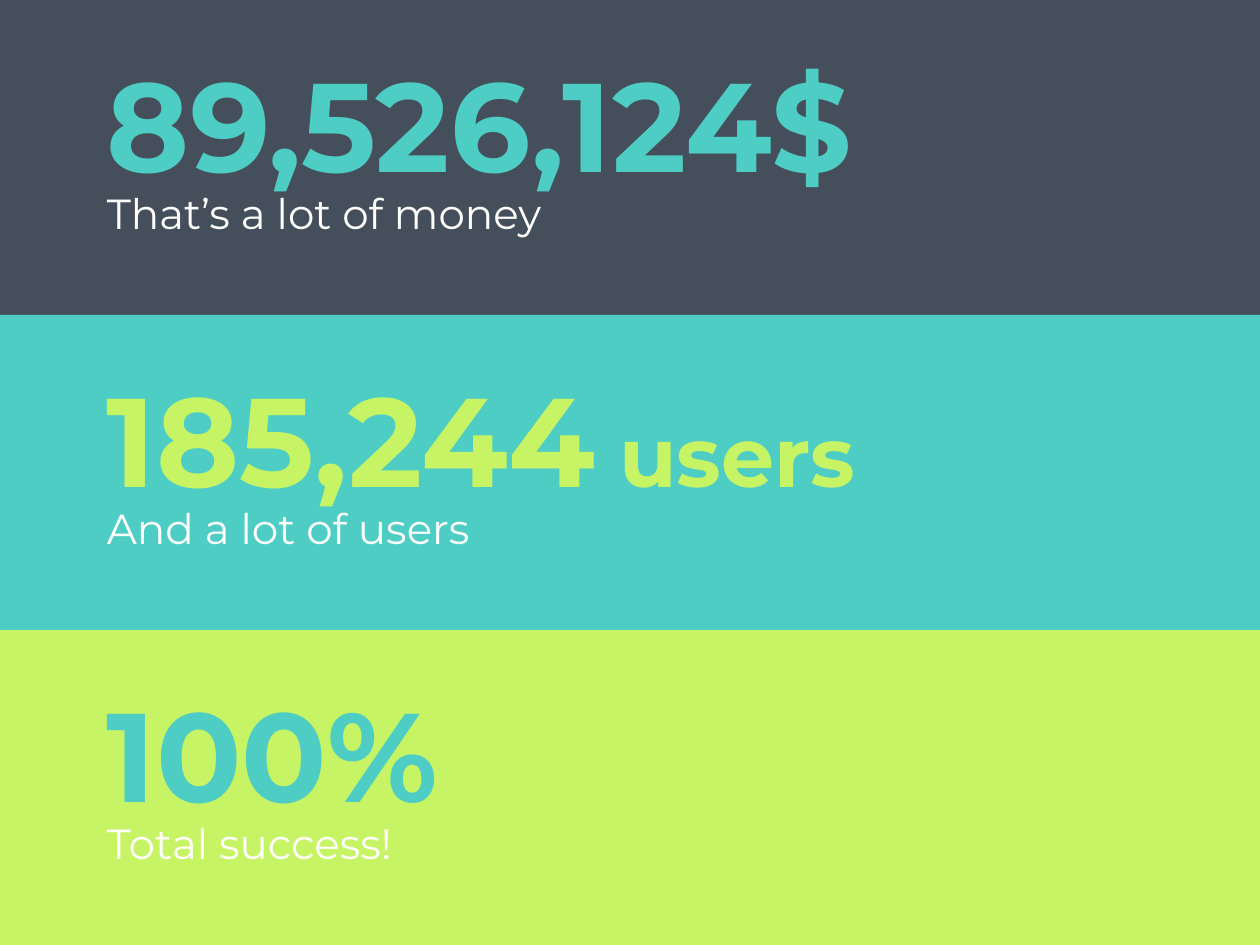
from dataclasses import dataclass

from pptx import Presentation
from pptx.dml.color import RGBColor
from pptx.enum.shapes import MSO_SHAPE as Shape
from pptx.enum.text import MSO_ANCHOR as Anchor
from pptx.util import Inches, Pt

COLORS = {"slate": "454F5B", "teal": "4ECDC4", "lime": "C7F464", "white": "FFFFFF"}
FONT = "Montserrat"
WIDTH, HEIGHT = 10, 7.5
ROW = HEIGHT / 3
MARGIN = 0.075 * WIDTH
INSET = Inches(0.1)


@dataclass(frozen=True)
class Figure:
    number: str
    caption: str
    color: str
    band: str
    unit: str = ""


FIGURES = [
    Figure("89,526,124$", "That’s a lot of money", "teal", "slate"),
    Figure("185,244", "And a lot of users", "lime", "teal", unit=" users"),
    Figure("100%", "Total success!", "teal", "lime"),
]


def rgb(name: str) -> RGBColor:
    return RGBColor.from_string(COLORS[name])


def add_band(page, row: int, color: str) -> None:
    band = page.shapes.add_shape(
        Shape.RECTANGLE, 0, Inches(row * ROW), Inches(WIDTH), Inches(ROW)
    )
    band.shadow.inherit = False
    band.fill.solid()
    band.fill.fore_color.rgb = rgb(color)
    band.line.fill.background()


def add_text(page, pieces: list[tuple[str, int]], *, top: float, height: float,
             color: str, bold: bool = False, anchor: Anchor = Anchor.TOP) -> None:
    """Add one line of text made of (text, point size) pieces."""
    box = page.shapes.add_textbox(
        Inches(MARGIN), Inches(top), Inches(WIDTH - 2 * MARGIN), Inches(height)
    )
    frame = box.text_frame
    frame.word_wrap = True
    frame.vertical_anchor = anchor
    frame.margin_left = frame.margin_right = INSET
    frame.margin_top = frame.margin_bottom = INSET
    para = frame.paragraphs[0]
    for text, size in pieces:
        span = para.add_run()
        span.text = text
        span.font.name = FONT
        span.font.size = Pt(size)
        span.font.bold = bold
        span.font.color.rgb = rgb(color)


def add_figure(page, row: int, figure: Figure) -> None:
    top = row * ROW
    pieces = [(figure.number, 72)]
    if figure.unit:
        pieces.append((figure.unit, 48))
    add_text(page, pieces, top=top + 0.36, height=1.31,
             color=figure.color, bold=True, anchor=Anchor.BOTTOM)
    add_text(page, [(figure.caption, 24)], top=top + 1.39, height=0.68, color="white")


def main() -> None:
    deck = Presentation()
    deck.slide_width, deck.slide_height = Inches(WIDTH), Inches(HEIGHT)
    page = deck.slides.add_slide(deck.slide_layouts[6])

    # The last band is the slide's own background.
    *bands, base = [figure.band for figure in FIGURES]
    page.background.fill.solid()
    page.background.fill.fore_color.rgb = rgb(base)
    for row, color in enumerate(bands):
        add_band(page, row, color)
    for row, figure in enumerate(FIGURES):
        add_figure(page, row, figure)

    deck.save("out.pptx")


if __name__ == "__main__":
    main()
